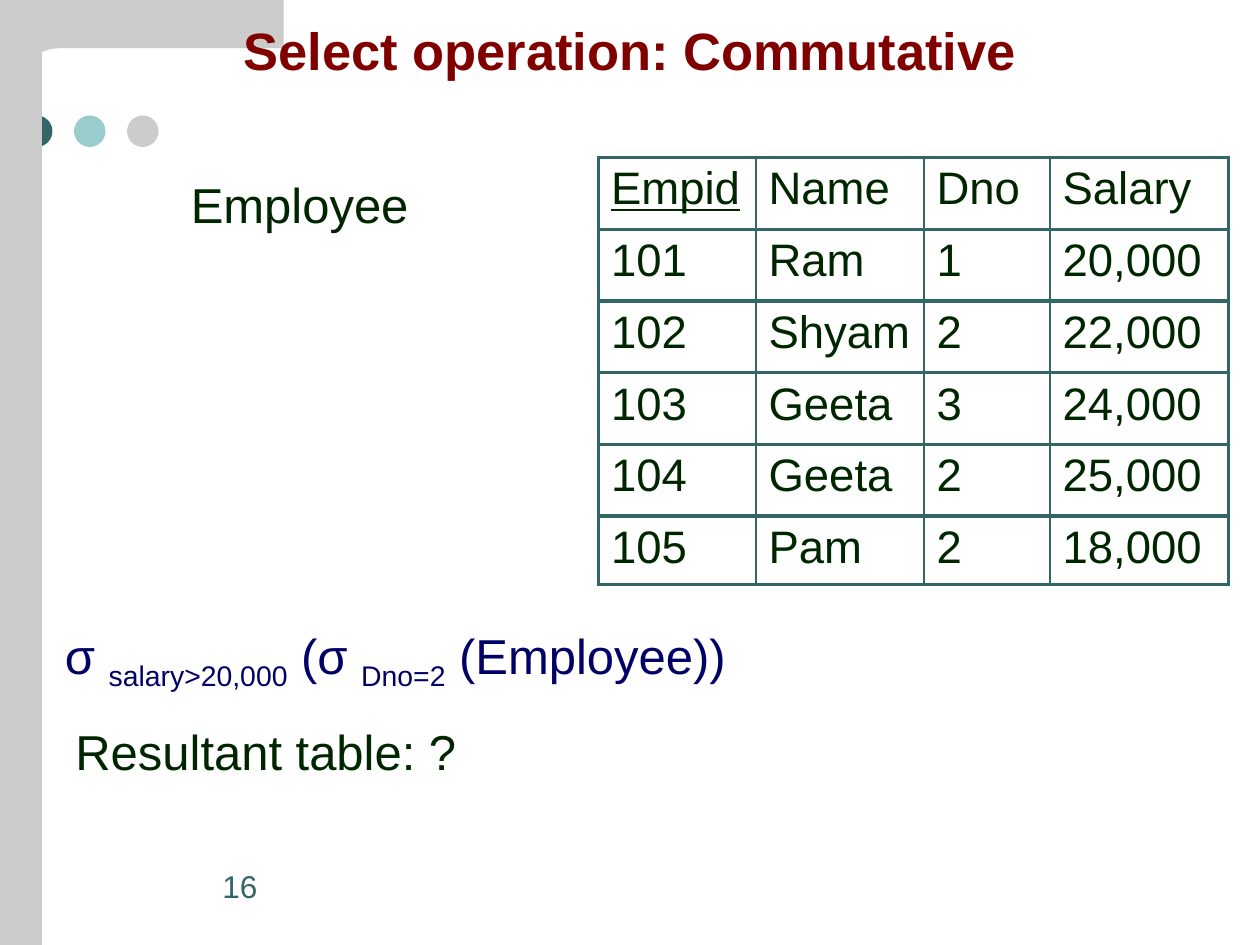
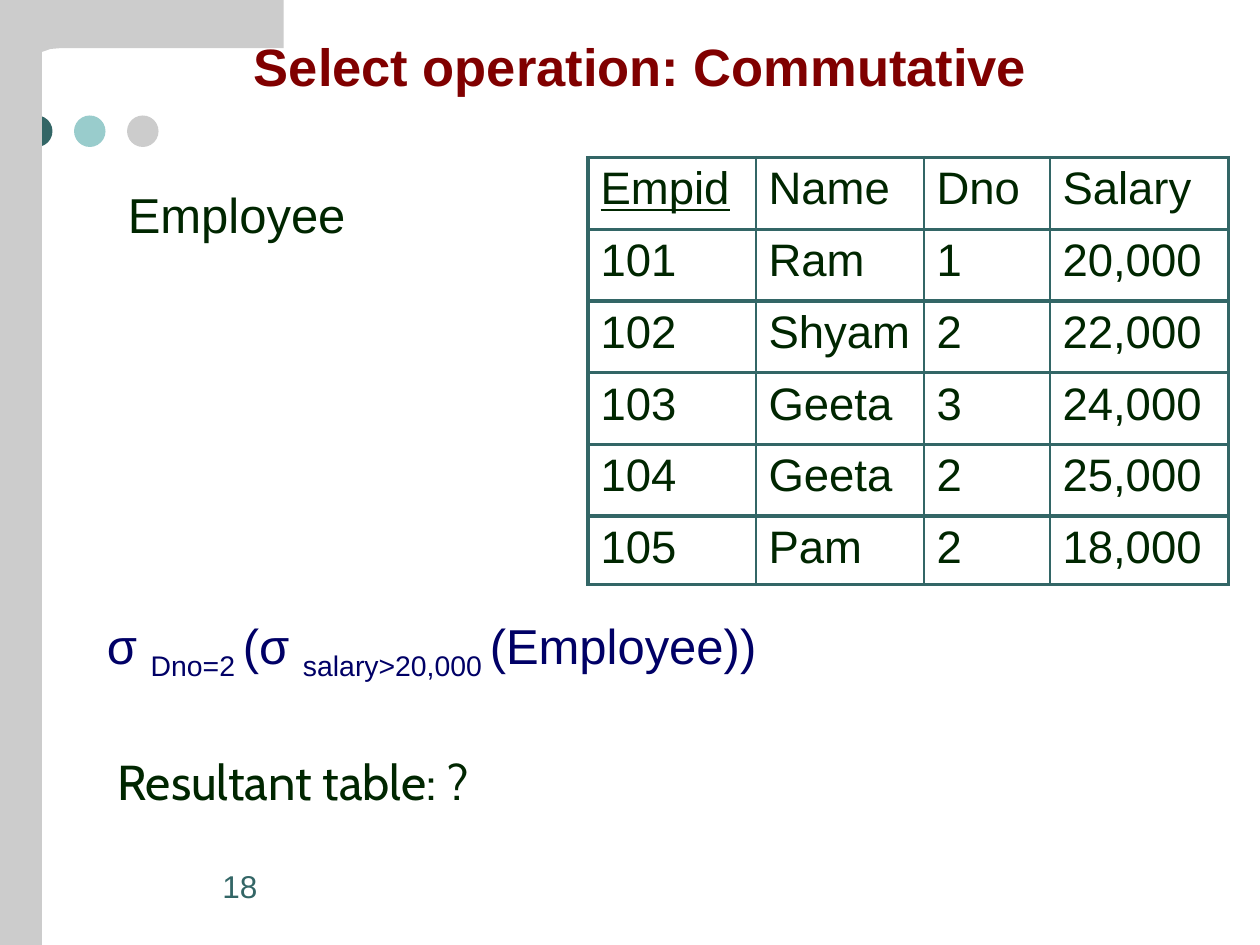
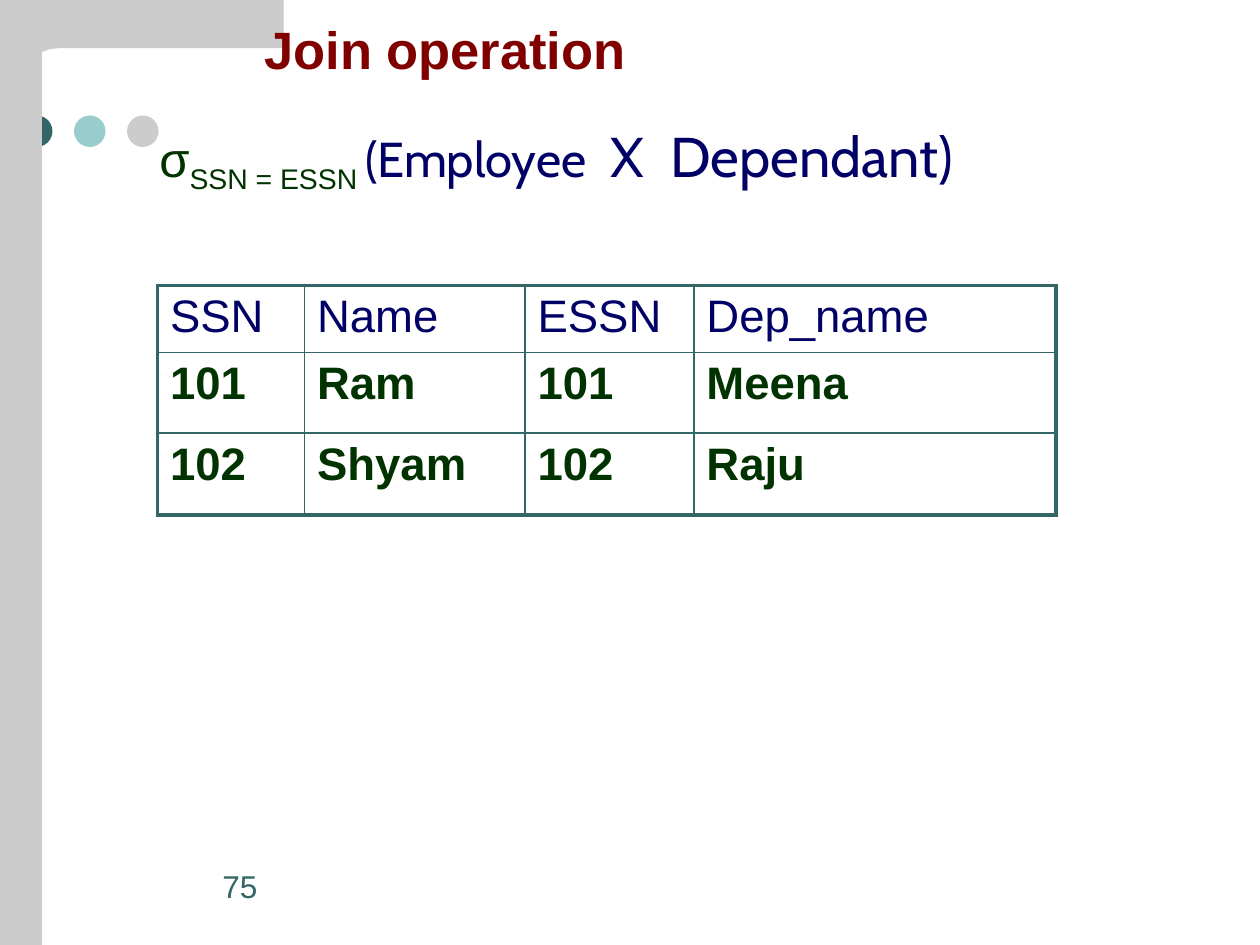
from dataclasses import dataclass

from pptx import Presentation
from pptx.dml.color import RGBColor as Color
from pptx.enum.shapes import MSO_SHAPE as Shape
from pptx.enum.text import MSO_ANCHOR as Anchor
from pptx.oxml import parse_xml
from pptx.oxml.ns import nsdecls
from pptx.util import Pt


@dataclass(frozen=True)
class Theme:
    teal: str = "336666"
    aqua: str = "99CCCC"
    grey: str = "CCCCCC"
    maroon: str = "800000"
    ink: str = "002600"
    green: str = "003300"
    navy: str = "000066"
    font: str = "Arial"
    alt_font: str = "Cabin"
    title: int = 30
    large: int = 32
    body: int = 28
    cell: int = 26
    number: int = 18
    thick: float = 2.25
    thin: float = 1


THEME = Theme()
SUB = {"baseline": -25000}
CORNER = [(162, 0), (162, 27.5), (35, 27.5), (29, 28), (23, 30),
          (19.5, 34), (18, 38), (18, 42), (0, 42), (0, 0)]
EMPLOYEES = [
    ["Empid", "Name", "Dno", "Salary"],
    ["101", "Ram", "1", "20,000"],
    ["102", "Shyam", "2", "22,000"],
    ["103", "Geeta", "3", "24,000"],
    ["104", "Geeta", "2", "25,000"],
    ["105", "Pam", "2", "18,000"],
]
EMPLOYEE_ROWS = [41] * 5 + [39]
JOINED = [
    ["SSN", "Name", "ESSN", "Dep_name"],
    ["101", "Ram", "101", "Meena"],
    ["102", "Shyam", "102", "Raju"],
]


class SlideWriter:
    def __init__(self, deck, theme):
        self.deck = deck
        self.theme = theme
        self.page = None

    def new_page(self, number):
        self.page = self.deck.slides.add_slide(self.deck.slide_layouts[6])
        theme = self.theme
        for index, color in enumerate((theme.teal, theme.aqua, theme.grey)):
            self.block(Shape.OVAL, (12 + 30.3 * index, 66, 18, 18), color)
        self.block(Shape.RECTANGLE, (0, 0, 24, 540), theme.grey)
        self.corner()
        self.text((120, 492, 102, 36), [(str(number), {})],
                  size=theme.number, color=theme.teal)

    def paint(self, shape, color):
        shape.shadow.inherit = False
        shape.fill.solid()
        shape.fill.fore_color.rgb = Color.from_string(color)
        shape.line.fill.background()

    def block(self, kind, area, color):
        self.paint(self.page.shapes.add_shape(kind, *map(Pt, area)), color)

    def corner(self):
        points = [(Pt(x), Pt(y)) for x, y in CORNER]
        builder = self.page.shapes.build_freeform(*points[0], scale=1)
        builder.add_line_segments(points[1:], close=True)
        self.paint(builder.convert_to_shape(), self.theme.grey)

    def add_span(self, para, words, size, color, font=None, bold=False,
                 underline=False, baseline=0):
        span = para.add_run()
        span.text = words
        formats = {"name": font or self.theme.font, "size": Pt(size),
                   "bold": bold, "underline": underline}
        for name, value in formats.items():
            setattr(span.font, name, value)
        span.font.color.rgb = Color.from_string(color)
        if baseline:
            span.font._element.set("baseline", str(baseline))

    def text(self, area, spans, anchor=Anchor.TOP, tabs=(), **style):
        """Write (words, overrides) spans as one line; tabs are stops in points."""
        frame = self.page.shapes.add_textbox(*map(Pt, area)).text_frame
        frame.word_wrap = True
        frame.vertical_anchor = anchor
        para = frame.paragraphs[0]
        if tabs:
            stops = "".join(f'<a:tab pos="{Pt(stop)}" algn="l"/>' for stop in tabs)
            para._p.get_or_add_pPr().append(
                parse_xml(f'<a:tabLst {nsdecls("a")}>{stops}</a:tabLst>'))
        for words, changes in spans:
            self.add_span(para, words, **{**style, **changes})

    def title(self, area, words, anchor=Anchor.MIDDLE):
        self.text(area, [(words, {})], anchor, size=self.theme.title,
                  color=self.theme.maroon, bold=True)

    def body(self, area, *spans, color=None, tabs=()):
        self.text(area, spans, tabs=tabs, size=self.theme.body,
                  color=color or self.theme.ink)

    def border(self, cell, side, width):
        cell._tc.get_or_add_tcPr().append(parse_xml(
            f'<a:ln{side} {nsdecls("a")} w="{Pt(width)}"><a:solidFill>'
            f'<a:srgbClr val="{self.theme.teal}"/></a:solidFill></a:ln{side}>'))

    def table(self, left, top, widths, heights, rows, rule, head, body):
        """Draw a thick-framed table; rule is the width of inner row lines."""
        frame = self.page.shapes.add_table(
            len(heights), len(widths), Pt(left), Pt(top),
            Pt(sum(widths)), Pt(sum(heights)))
        table = frame.table
        table.first_row = table.horz_banding = False
        for column, width in zip(table.columns, widths):
            column.width = Pt(width)
        for line, height in zip(table.rows, heights):
            line.height = Pt(height)
        thick, thin = self.theme.thick, self.theme.thin
        last_row, last_column = len(heights) - 1, len(widths) - 1
        for r, values in enumerate(rows):
            for c, value in enumerate(values):
                cell = table.cell(r, c)
                borders = {
                    "L": thick if c == 0 else thin,
                    "R": thick if c == last_column else thin,
                    "T": thick if r == 0 else rule,
                    "B": thick if r == last_row else rule,
                }
                for side, width in borders.items():
                    self.border(cell, side, width)
                cell.fill.background()
                style = body if r else head
                if value == "Empid":
                    style = {**style, "underline": True}
                self.add_span(cell.text_frame.paragraphs[0], value,
                              self.theme.cell, **style)

    def employee_table(self, left, id_width):
        ink = {"color": self.theme.ink}
        self.table(left, 90, [id_width, 96, 72, 102], EMPLOYEE_ROWS, EMPLOYEES,
                   self.theme.thick, ink, ink)


def select_by_department_first(writer):
    writer.new_page(16)
    writer.title((132, 6, 486, 45), "Select operation: Commutative")
    writer.employee_table(342, 90)
    writer.body((102, 96, 174, 41), ("Employee", {}))
    writer.body((36, 409, 276, 41), ("Resultant table: ?", {}))
    writer.body((30, 354, 420, 41), ("σ ", {}), ("salary>20,000", SUB), (" (σ ", {}),
                ("Dno=2", SUB), (" (Employee))", {}), color=THEME.navy)


def select_by_salary_first(writer):
    writer.new_page(18)
    writer.title((138, 15, 492, 45), "Select operation: Commutative")
    writer.employee_table(336, 96)
    writer.body((54, 348, 588, 41), ("σ ", {}), ("Dno=2 ", SUB), ("(σ ", {}),
                ("salary>20,000 ", SUB), ("(Employee))", {}), color=THEME.navy)
    writer.body((60, 426, 336, 41), ("Resultant table: ?", {"font": THEME.alt_font}))
    writer.body((66, 102, 222, 41), ("Employee", {}))


def join_operation(writer):
    writer.new_page(75)
    writer.title((144, 6, 504, 43), "Join operation", Anchor.TOP)
    writer.table(90, 163, [84, 126, 96.5, 207], [38, 46, 47], JOINED, THEME.thin,
                 {"color": THEME.navy}, {"color": THEME.green, "bold": True})
    product = {"font": THEME.alt_font, "color": THEME.navy}
    writer.body((84, 66, 510, 45), ("σ", {}), ("SSN = ESSN ", SUB),
                ("(Employee", product),
                ("\tX\tDependant)", {**product, "size": THEME.large}),
                color=THEME.green, tabs=(258, 292))


def main():
    deck = Presentation()
    deck.slide_width, deck.slide_height = Pt(720), Pt(540)
    writer = SlideWriter(deck, THEME)
    for build in (select_by_department_first, select_by_salary_first, join_operation):
        build(writer)
    deck.save("out.pptx")


if __name__ == "__main__":
    main()
